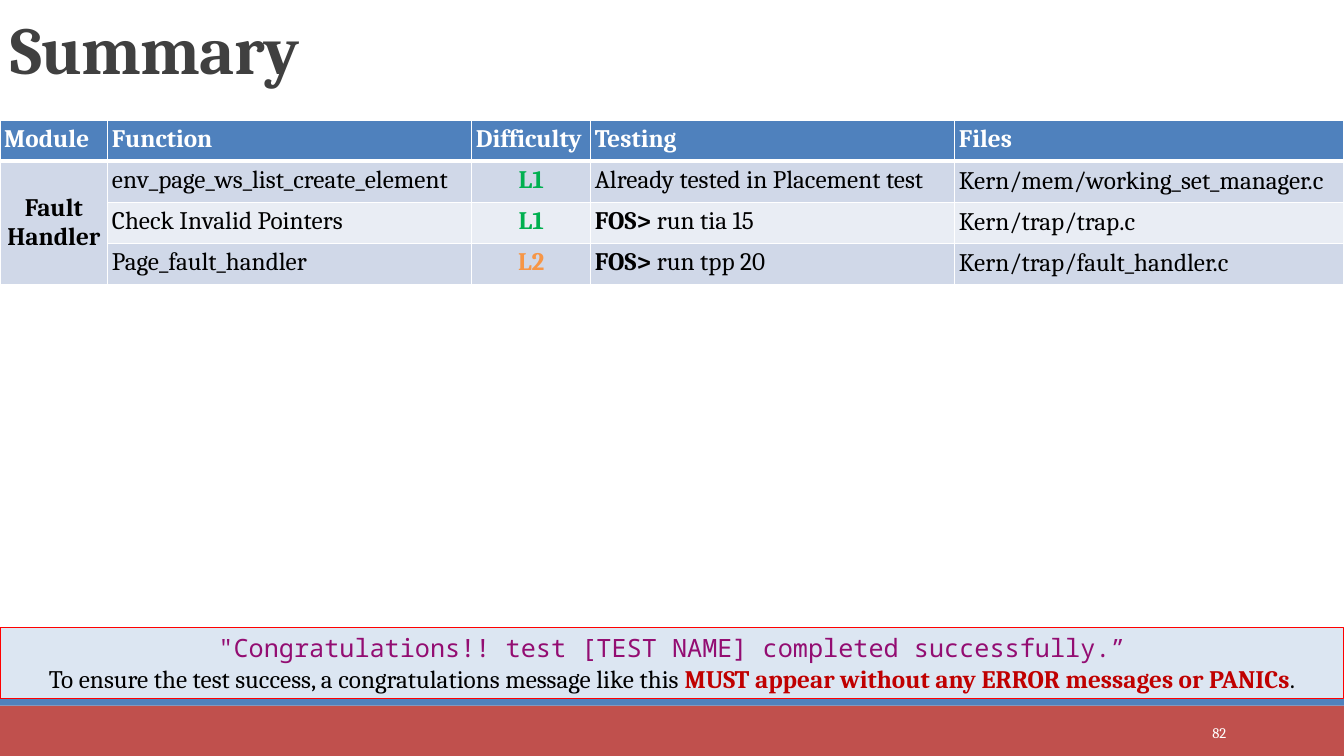
from dataclasses import dataclass
from typing import Any

from lxml.etree import SubElement as Sub
from pptx import Presentation
from pptx.dml.color import RGBColor as Rgb
from pptx.enum.shapes import MSO_SHAPE as Form
from pptx.enum.text import MSO_ANCHOR as Anchor, MSO_AUTO_SIZE as Fit, PP_ALIGN as Align
from pptx.oxml.ns import qn
from pptx.util import Pt

HUES = {
    "white": "FFFFFF", "black": "000000", "title": "404040",
    "blue": "4F81BD", "brick": "C0504D", "dark": "D0D8E8", "light": "E9EDF4",
    "L1": "00B050", "L2": "F79646",
    "pale": "DCE6F2", "red": "FF0000", "plum": "930D72", "alert": "C00000",
}
SERIF = "Cambria"
MONO = "Noto Sans Mono"


@dataclass(frozen=True)
class Run:
    text: str
    hue: str = "black"
    bold: bool = False
    size: float = 18
    face: str = SERIF


@dataclass(frozen=True)
class Bar:
    top: float
    high: float
    hue: str


@dataclass(frozen=True)
class Task:
    name: str
    level: str
    test: tuple[Run, ...]
    file: str


BARS = (Bar(504, 36, "brick"), Bar(499, 5, "blue"))
HEADS = ("Module", "Function", "Difficulty", "Testing", "Files")
WIDTHS = (77, 260, 85, 260, 278)
ROW = 29.3
PROMPT = Run("FOS> ", bold=True)
TASKS = (
    Task("env_page_ws_list_create_element", "L1",
         (Run("Already tested in Placement test"),), "Kern/mem/working_set_manager.c"),
    Task("Check Invalid Pointers", "L1", (PROMPT, Run("run tia 15")), "Kern/trap/trap.c"),
    Task("Page_fault_handler", "L2", (PROMPT, Run("run tpp 20")), "Kern/trap/fault_handler.c"),
)
NOTE = (
    (Run('"Congratulations!! test [TEST NAME] completed successfully.”', "plum", face=MONO),),
    (Run("To ensure the test success, a congratulations message like this "),
     Run("MUST appear without any ERROR messages or PANICs", "alert", True),
     Run(".")),
)


def tint(name: str) -> Rgb:
    return Rgb.from_string(HUES[name])


def paint(item: Any, hue: str) -> None:
    item.fill.solid()
    item.fill.fore_color.rgb = tint(hue)


def write(para: Any, runs: tuple[Run, ...], align: Any = Align.LEFT) -> None:
    para.alignment = align
    for run in runs:
        part = para.add_run()
        part.text = run.text
        font = part.font
        font.name, font.size, font.bold = run.face, Pt(run.size), run.bold
        font.color.rgb = tint(run.hue)


def block(slide: Any, bar: Bar) -> Any:
    shape = slide.shapes.add_shape(Form.RECTANGLE, 0, Pt(bar.top), Pt(960), Pt(bar.high))
    shape.shadow.inherit = False
    paint(shape, bar.hue)
    shape.line.fill.background()
    return shape


def edge(cell: Any, side: str, width: float) -> None:
    line = Sub(cell._tc.get_or_add_tcPr(), qn(f"a:ln{side}"), w=str(Pt(width)))
    Sub(Sub(line, qn("a:solidFill")), qn("a:srgbClr"), val=HUES["white"])


def fill_cell(cell: Any, runs: tuple[Run, ...], hue: str, align: Any = Align.LEFT,
              anchor: Any = Anchor.TOP, base: float = 1, top: float = 1) -> None:
    for side, width in (("L", 1), ("R", 1), ("T", top), ("B", base)):
        edge(cell, side, width)
    paint(cell, hue)
    cell.margin_left = cell.margin_right = Pt(3)
    cell.margin_top = cell.margin_bottom = Pt(3.6)
    cell.vertical_anchor = anchor
    write(cell.text_frame.paragraphs[0], runs, align)


def add_title(slide: Any) -> None:
    title = slide.shapes.title
    title.left, title.top, title.width, title.height = 0, Pt(0.7), Pt(792), Pt(66.2)
    frame = title.text_frame
    frame.auto_size, frame.vertical_anchor = Fit.NONE, Anchor.BOTTOM
    para = frame.paragraphs[0]
    para.line_spacing = 0.85
    write(para, (Run("Summary", "title", True, 48),))
    para.runs[0].font._element.set("spc", "-50")


def add_grid(slide: Any) -> None:
    count = len(TASKS) + 1
    grid = slide.shapes.add_table(count, len(HEADS), 0, Pt(85.8), Pt(960), Pt(ROW * count)).table
    for col, width in zip(grid.columns, WIDTHS):
        col.width = Pt(width)
    for row in grid.rows:
        row.height = Pt(ROW)
    for col, head in enumerate(HEADS):
        fill_cell(grid.cell(0, col), (Run(head, "white", True),), "blue", base=3)

    # Module cell spans all tasks
    grid.cell(1, 0).merge(grid.cell(count - 1, 0))
    fill_cell(grid.cell(1, 0), (Run("Fault Handler", bold=True),), "dark",
              Align.CENTER, Anchor.MIDDLE, top=3)

    for row, task in enumerate(TASKS, 1):
        hue = "dark" if row % 2 else "light"
        top = 3 if row == 1 else 1
        fill_cell(grid.cell(row, 1), (Run(task.name),), hue, top=top)
        fill_cell(grid.cell(row, 2), (Run(task.level, task.level, True),), hue,
                  Align.CENTER, top=top)
        fill_cell(grid.cell(row, 3), task.test, hue, top=top)
        fill_cell(grid.cell(row, 4), (Run(task.file),), hue, anchor=Anchor.MIDDLE, top=top)


def add_page(slide: Any) -> None:
    frame = slide.shapes.add_textbox(Pt(780), Pt(508.6), Pt(103), Pt(28.8)).text_frame
    frame.word_wrap, frame.vertical_anchor = True, Anchor.MIDDLE
    write(frame.paragraphs[0], (Run("82", "white", size=10.5),), Align.RIGHT)


def add_note(slide: Any) -> None:
    box = block(slide, Bar(448.4, 50.9, "pale"))
    box.line.color.rgb = tint("red")
    box.line.width = Pt(0.75)
    frame = box.text_frame
    frame.word_wrap, frame.vertical_anchor = True, Anchor.TOP
    frame.auto_size = Fit.SHAPE_TO_FIT_TEXT
    for order, runs in enumerate(NOTE):
        para = frame.add_paragraph() if order else frame.paragraphs[0]
        write(para, runs, Align.CENTER)


def main() -> None:
    deck = Presentation()
    deck.slide_width, deck.slide_height = Pt(960), Pt(540)
    slide = deck.slides.add_slide(deck.slide_layouts[5])

    # Footer bands
    for bar in BARS:
        block(slide, bar)

    # Content
    add_title(slide)
    add_grid(slide)
    add_page(slide)
    add_note(slide)
    deck.save("out.pptx")


if __name__ == "__main__":
    main()
